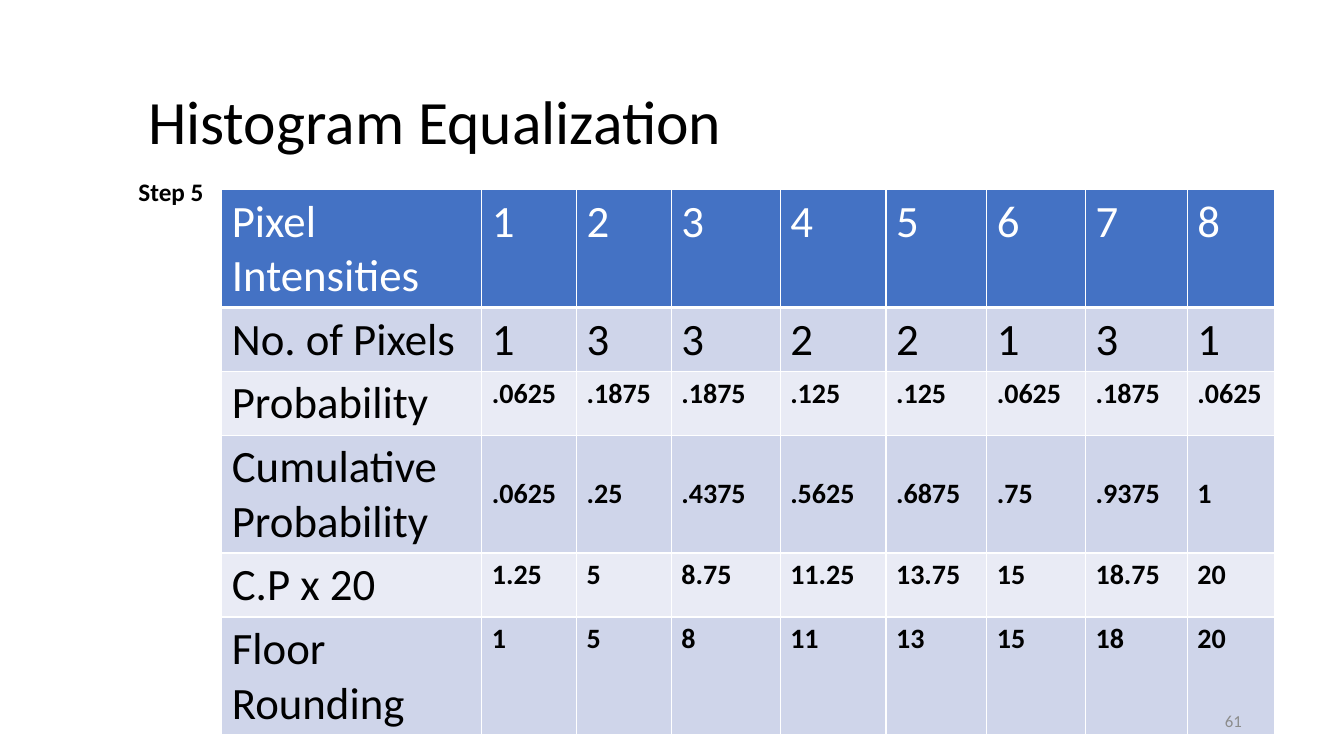
from lxml.etree import SubElement
from pptx import Presentation
from pptx.dml.color import RGBColor
from pptx.enum.text import MSO_ANCHOR, PP_ALIGN
from pptx.oxml.ns import qn
from pptx.util import Inches, Pt

INTENSITY_ROWS = [
    ["Pixel Intensities", "1", "2", "3", "4", "5", "6", "7", "8"],
    ["No. of Pixels", "1", "3", "3", "2", "2", "1", "3", "1"],
    ["Probability", ".0625", ".1875", ".1875", ".125", ".125", ".0625", ".1875", ".0625"],
    ["Cumulative\nProbability", ".0625", ".25", ".4375", ".5625", ".6875", ".75", ".9375", "1"],
    ["C.P x 20", "1.25", "5", "8.75", "11.25", "13.75", "15", "18.75", "20"],
    ["Floor Rounding", "1", "5", "8", "11", "13", "15", "18", "20"],
]
COLUMN_SPANS = [30.96, 11.28, 11.28, 12.96, 12.6, 12, 11.76, 12.12, 10.44]
TALL_SPAN, SHORT_SPAN = 14.04, 7.56
ROW_SPANS = [TALL_SPAN, SHORT_SPAN, SHORT_SPAN, TALL_SPAN, SHORT_SPAN, TALL_SPAN]
CUMULATIVE_ROW = 3


def color(hex_value):
    return RGBColor.from_string(hex_value)


def write(frame, text, size=32, bold=False, fill="000000", align=PP_ALIGN.LEFT, spacing=1.0):
    for index, line in enumerate(text.split("\n")):
        paragraph = frame.paragraphs[0] if index == 0 else frame.add_paragraph()
        paragraph.alignment = align
        paragraph.line_spacing = spacing
        run = paragraph.add_run()
        run.text = line
        run.font.name = "Calibri"
        run.font.size = Pt(size)
        run.font.bold = bold
        run.font.color.rgb = color(fill)


class GridSlide:
    """Places styled elements on a slide grid of 160 columns and 90 rows."""

    header, band, light, border = "4472C4", "CFD5EA", "E9EBF5", "FFFFFF"

    def __init__(self, presentation):
        self.column = presentation.slide_width / 160
        self.row = presentation.slide_height / 90
        self.slide = presentation.slides.add_slide(presentation.slide_layouts[6])

    def box(self, left, top, width, height):
        return (round(left * self.column), round(top * self.row),
                round(width * self.column), round(height * self.row))

    def text(self, text, *place, anchor=MSO_ANCHOR.TOP, **style):
        frame = self.slide.shapes.add_textbox(*self.box(*place)).text_frame
        frame.word_wrap = True
        frame.vertical_anchor = anchor
        write(frame, text, **style)

    def borders(self, cell, bottom):
        properties = cell._tc.get_or_add_tcPr()
        for side, width in (("L", 1), ("R", 1), ("T", 1), ("B", bottom)):
            line = SubElement(properties, qn(f"a:ln{side}"), w=str(Pt(width)))
            fill = SubElement(line, qn("a:solidFill"))
            SubElement(fill, qn("a:srgbClr"), val=self.border)

    def table(self, rows, left, top, column_spans, row_spans):
        place = self.box(left, top, sum(column_spans), sum(row_spans))
        table = self.slide.shapes.add_table(len(rows), len(column_spans), *place).table
        for column, span in zip(table.columns, column_spans):
            column.width = round(span * self.column)
        for row, span in zip(table.rows, row_spans):
            row.height = round(span * self.row)
        for row_index, values in enumerate(rows):
            background = self.band if row_index % 2 else self.light
            for column_index, value in enumerate(values):
                cell = table.cell(row_index, column_index)
                is_header = row_index == 0
                is_result = row_index > 1 and column_index > 0
                self.borders(cell, 3 if is_header else 1)
                cell.fill.solid()
                cell.fill.fore_color.rgb = color(self.header if is_header else background)
                if is_result and row_index == CUMULATIVE_ROW:
                    cell.vertical_anchor = MSO_ANCHOR.MIDDLE
                write(cell.text_frame, value, size=20 if is_result else 32, bold=is_result,
                      fill="FFFFFF" if is_header else "000000")


def main():
    presentation = Presentation()
    presentation.slide_width = Inches(13.33)
    presentation.slide_height = Inches(7.5)
    page = GridSlide(presentation)
    page.text("Histogram Equalization", 16.44, 5.04, 133.56, 19.56,
              anchor=MSO_ANCHOR.MIDDLE, size=44, spacing=0.9)
    page.text("Step 5", 15.3, 20.4, 16.3, 4.8, size=18, bold=True)
    page.table(INTENSITY_ROWS, 26.4, 22.56, COLUMN_SPANS, ROW_SPANS)
    page.text("61", 113.04, 83.4, 36, 4.8, anchor=MSO_ANCHOR.MIDDLE,
              size=12, fill="8C8C8C", align=PP_ALIGN.RIGHT)
    presentation.save("out.pptx")


if __name__ == "__main__":
    main()
